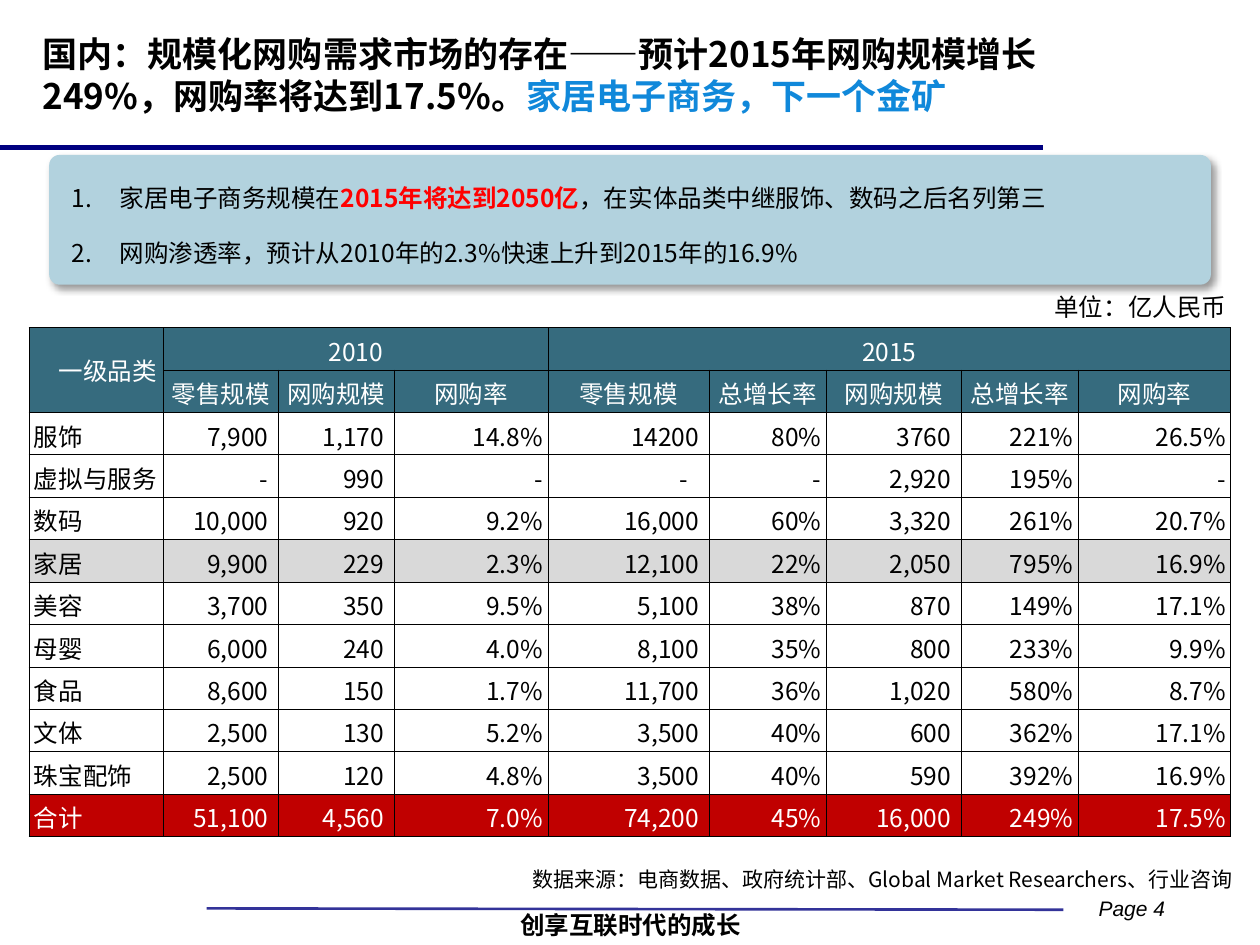
from lxml import etree
from pptx import Presentation
from pptx import util as u
from pptx.dml.color import RGBColor
from pptx.enum import shapes, text
from pptx.oxml import parse_xml
from pptx.oxml.ns import nsdecls, qn

COLORS = {
    "black": "000000", "white": "FFFFFF", "navy": "000080", "indigo": "333399",
    "blue": "1088DA", "red": "FF0000", "panel": "B2D2DE", "header": "366B7E",
    "highlight": "D9D9D9", "total": "C00000",
}
CJK, LATIN = "Noto Sans CJK SC", "Arial"
ALIGN = {"left": text.PP_ALIGN.LEFT, "center": text.PP_ALIGN.CENTER, "right": text.PP_ALIGN.RIGHT}

TITLE = [[
    ("国内：规模化网购需求市场的存在——预计2015年网购规模增长249%，网购率将达到17.5%。", {"bold": True}),
    ("家居电子商务，下一个金矿", {"bold": True, "color": "blue"}),
]]
POINTS = [
    [("家居电子商务规模在", {}),
     ("2015年将达到2050亿", {"bold": True, "color": "red"}),
     ("，在实体品类中继服饰、数码之后名列第三", {})],
    [("网购渗透率，预计从2010年的2.3%快速上升到2015年的16.9%", {})],
]
UNIT = [[("单位：亿人民币", {})]]
SOURCE = [[("数据来源：电商数据、政府统计部、Global Market Researchers、行业咨询", {})]]
SLOGAN = [[("创享互联时代的成长", {"bold": True})]]
PAGE = [[("Page 4", {"italic": True, "font": LATIN})]]

RULES = [((0, 15.6), (82.8, 15.6), "navy", 2.5), ((16.4, 96.13), (84.4, 96.27), "indigo", 1.5)]

COLUMN_WIDTHS = [10.7, 9.1, 9.2, 12.2, 12.8, 9.3, 10.7, 9.3, 12.1]
CORNER = "一级品类"
YEARS = [("2010", 1, 3), ("2015", 4, 8)]
MEASURES = ["零售规模", "网购规模", "网购率", "零售规模", "总增长率", "网购规模", "总增长率", "网购率"]
ROWS = [
    ("服饰", "7,900", "1,170", "14.8%", "14200", "80%", "3760", "221%", "26.5%"),
    ("虚拟与服务", "-", "990", "-", "-", "-", "2,920", "195%", "-"),
    ("数码", "10,000", "920", "9.2%", "16,000", "60%", "3,320", "261%", "20.7%"),
    ("家居", "9,900", "229", "2.3%", "12,100", "22%", "2,050", "795%", "16.9%"),
    ("美容", "3,700", "350", "9.5%", "5,100", "38%", "870", "149%", "17.1%"),
    ("母婴", "6,000", "240", "4.0%", "8,100", "35%", "800", "233%", "9.9%"),
    ("食品", "8,600", "150", "1.7%", "11,700", "36%", "1,020", "580%", "8.7%"),
    ("文体", "2,500", "130", "5.2%", "3,500", "40%", "600", "362%", "17.1%"),
    ("珠宝配饰", "2,500", "120", "4.8%", "3,500", "40%", "590", "392%", "16.9%"),
    ("合计", "51,100", "4,560", "7.0%", "74,200", "45%", "16,000", "249%", "17.5%"),
]
ROW_STYLES = {"家居": ("highlight", "black"), "合计": ("total", "white")}
AMOUNT_COLUMNS = (1, 2, 4, 6)
CELL_MARGIN = 0.04

deck = Presentation()
deck.slide_width, deck.slide_height = u.Inches(10), u.Inches(7.5)
slide = deck.slides.add_slide(deck.slide_layouts[6])


def across(share):
    return round(deck.slide_width * share / 100)


def down(share):
    return round(deck.slide_height * share / 100)


def area(left, top, width, height):
    return across(left), down(top), across(width), down(height)


def rgb(name):
    return RGBColor.from_string(COLORS[name])


def style(span, size, color="black", bold=False, italic=False, font=CJK):
    span.font.size = u.Pt(size)
    span.font.bold, span.font.italic = bold, italic
    span.font.color.rgb = rgb(color)
    span.font.name = font
    etree.SubElement(span.font._element, qn("a:ea"), typeface=font)


def add_text(place, paragraphs, size, align="left", wrap=True, grow=True):
    box = slide.shapes.add_textbox(*area(*place))
    frame = box.text_frame
    frame.word_wrap = wrap
    frame.auto_size = text.MSO_AUTO_SIZE.SHAPE_TO_FIT_TEXT if grow else text.MSO_AUTO_SIZE.NONE
    for index, spans in enumerate(paragraphs):
        para = frame.add_paragraph() if index else frame.paragraphs[0]
        para.alignment = ALIGN[align]
        for words, look in spans:
            span = para.add_run()
            span.text = words
            style(span, size, **look)
    return frame


def add_rule(start, end, color, width):
    rule = slide.shapes.add_connector(
        shapes.MSO_CONNECTOR.STRAIGHT, across(start[0]), down(start[1]), across(end[0]), down(end[1]))
    rule.line.color.rgb = rgb(color)
    rule.line.width = u.Pt(width)
    etree.SubElement(rule._element.spPr, qn("a:effectLst"))


def add_panel():
    panel = slide.shapes.add_shape(shapes.MSO_SHAPE.ROUNDED_RECTANGLE, *area(3.9, 16.4, 92.2, 13.73))
    panel.adjustments[0] = 0.08
    panel.fill.solid()
    panel.fill.fore_color.rgb = rgb("panel")
    panel.line.fill.background()
    panel._element.spPr.append(parse_xml(
        f'<a:effectLst {nsdecls("a")}><a:outerShdw blurRad="{u.Pt(4)}" dist="{u.Pt(3)}" dir="2700000" '
        f'algn="tl" rotWithShape="0"><a:srgbClr val="{COLORS["black"]}"><a:alpha val="40000"/>'
        '</a:srgbClr></a:outerShdw></a:effectLst>'))


def add_points():
    frame = add_text((4.7, 17.2, 94.1, 11.87), POINTS, 14)
    for para in frame.paragraphs:
        para.line_spacing = 1.5
        para.space_after = u.Pt(6)
        layout = para._p.get_or_add_pPr()
        layout.set("marL", str(u.Inches(0.38)))
        layout.set("indent", str(u.Inches(-0.38)))
        etree.SubElement(layout, qn("a:buFont"), typeface="+mj-lt")
        etree.SubElement(layout, qn("a:buAutoNum"), type="arabicPeriod")


def prepare_cell(cell, fill):
    for side in ("lnL", "lnR", "lnT", "lnB"):
        cell._tc.get_or_add_tcPr().append(parse_xml(
            f'<a:{side} {nsdecls("a")} w="{u.Pt(0.5)}"><a:solidFill>'
            f'<a:srgbClr val="{COLORS["black"]}"/></a:solidFill></a:{side}>'))
    cell.fill.solid()
    cell.fill.fore_color.rgb = rgb(fill)
    cell.vertical_anchor = text.MSO_ANCHOR.MIDDLE
    cell.margin_left = cell.margin_right = u.Inches(CELL_MARGIN)
    cell.margin_top = cell.margin_bottom = u.Inches(CELL_MARGIN)


def write_cell(cell, words, color, align):
    cell.text_frame.text = words
    para = cell.text_frame.paragraphs[0]
    para.alignment = ALIGN[align]
    style(para.runs[0], 14, color)


def add_market_table():
    row_count = len(ROWS) + 2
    table = slide.shapes.add_table(
        row_count, len(COLUMN_WIDTHS), *area(2.3, 34.67, sum(COLUMN_WIDTHS), 53.87)).table
    table.first_row = table.horz_banding = False
    for column, width in zip(table.columns, COLUMN_WIDTHS):
        column.width = across(width)
    for row in table.rows:
        row.height = down(53.87 / row_count)
    looks = [("header", "white")] * 2 + [ROW_STYLES.get(row[0], ("white", "black")) for row in ROWS]
    for r, (fill, _) in enumerate(looks):
        for c in range(len(COLUMN_WIDTHS)):
            prepare_cell(table.cell(r, c), fill)

    corner = table.cell(0, 0)
    corner.merge(table.cell(1, 0))
    write_cell(corner, CORNER, "white", "center")
    corner.margin_left = u.Inches(0.22)
    for year, first, last in YEARS:
        table.cell(0, first).merge(table.cell(0, last))
        write_cell(table.cell(0, first), year, "white", "center")
    for c, measure in enumerate(MEASURES, 1):
        write_cell(table.cell(1, c), measure, "white", "center")

    for r, values in enumerate(ROWS, 2):
        for c, value in enumerate(values):
            cell = table.cell(r, c)
            write_cell(cell, value, looks[r][1], "right" if c else "left")
            if c in AMOUNT_COLUMNS:
                cell.margin_right = u.Inches(0.17 if (value, c) == ("-", 4) else 0.08)


for rule in RULES:
    add_rule(*rule)
add_text((40.2, 95.6, 19.7, 4.53), SLOGAN, 14, "center", wrap=False)
add_text((86.2, 94.13, 8.9, 4), PAGE, 12, wrap=False)
title = add_text((2.4, 2.67, 82, 10.53), TITLE, 20, grow=False)
title.vertical_anchor = text.MSO_ANCHOR.MIDDLE
add_panel()
add_points()
add_text((37.4, 91.07, 61.4, 4), SOURCE, 12, "right")
add_text((82.7, 30.27, 16.1, 4.53), UNIT, 14)
add_market_table()
deck.save("out.pptx")
